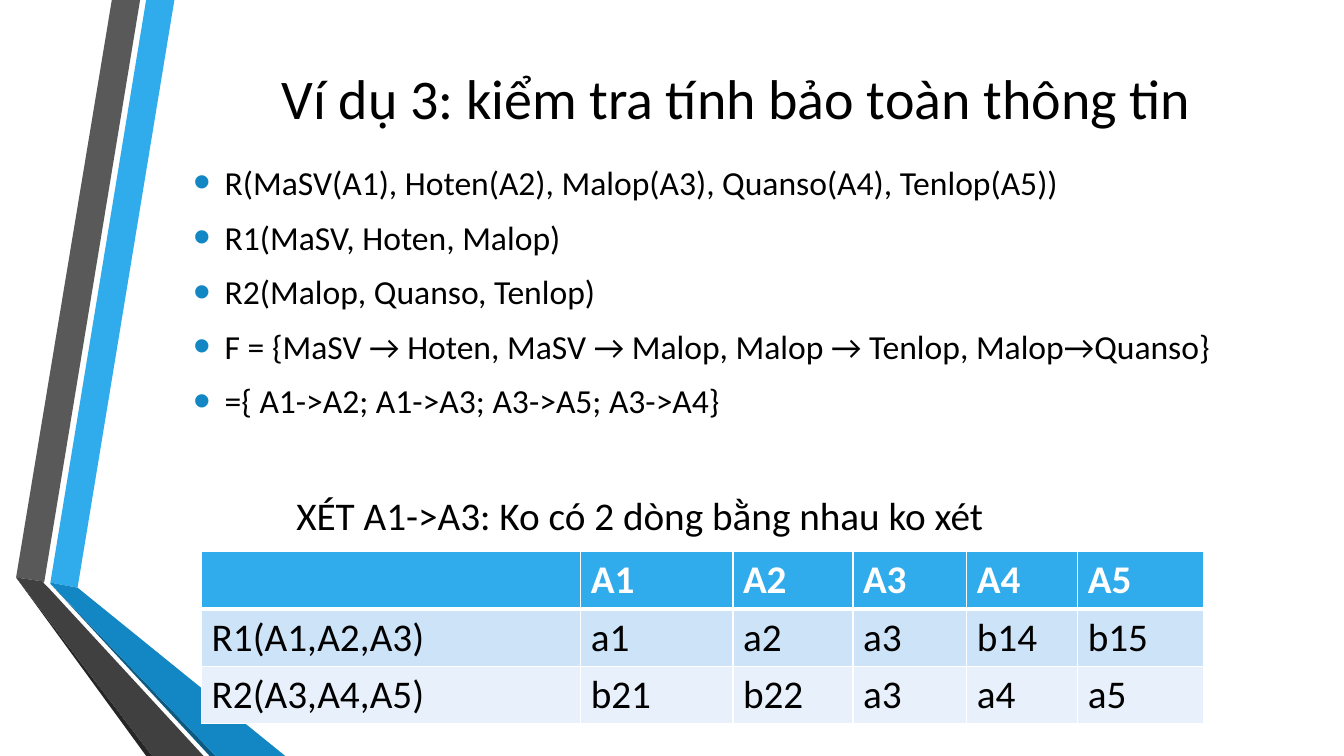
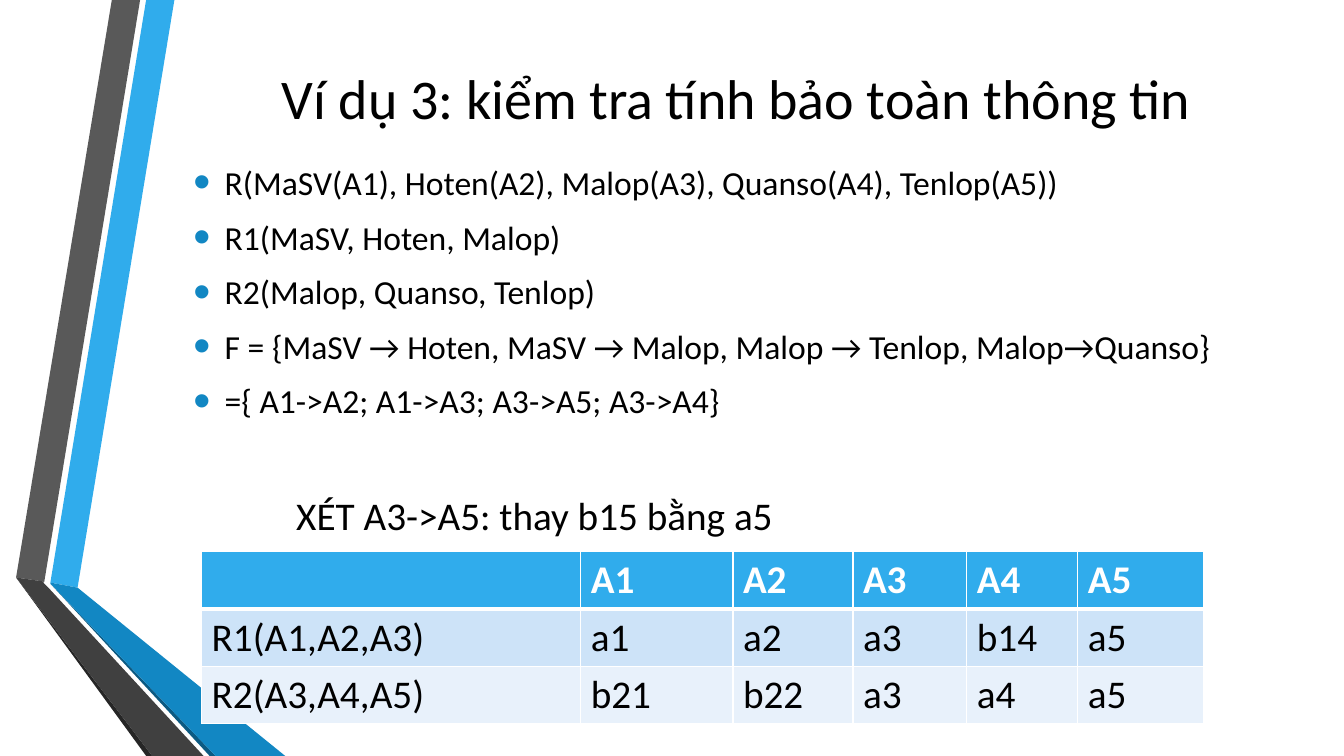
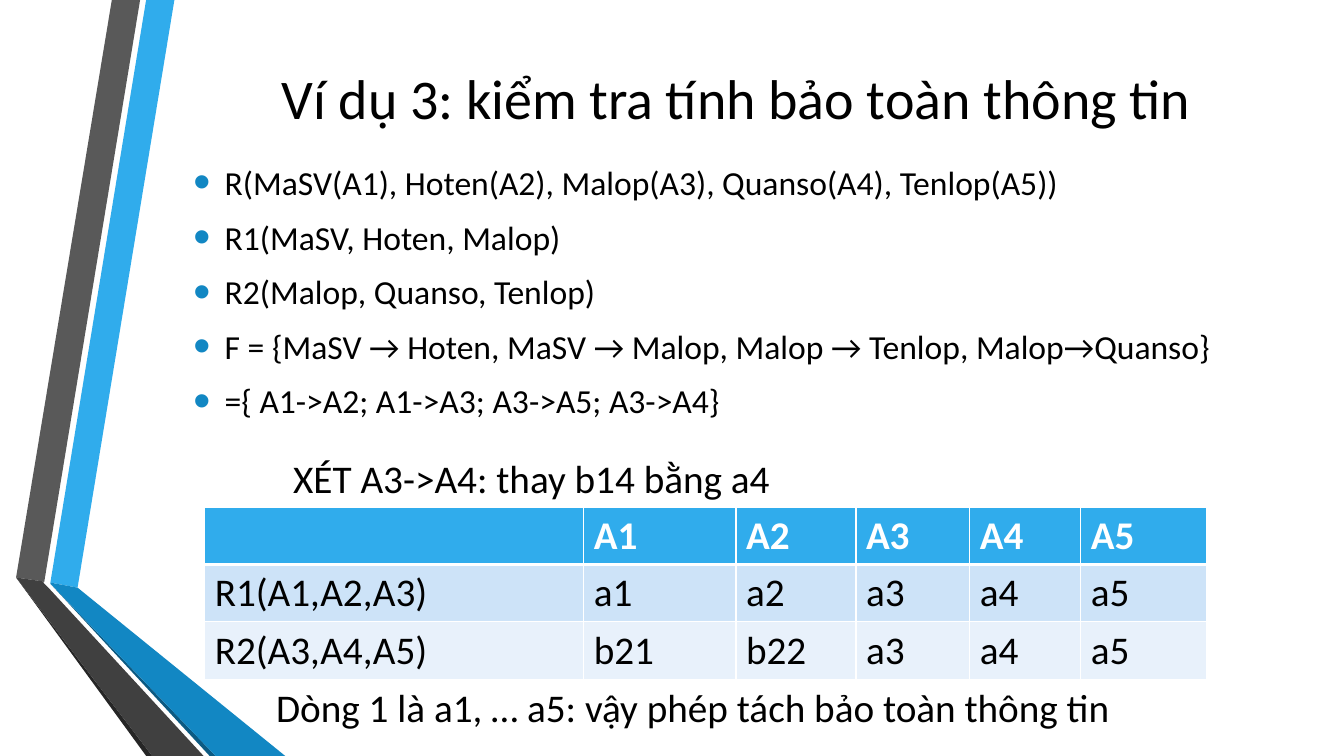
from dataclasses import dataclass, field
from typing import Any, NamedTuple

import pptx
import pptx.dml.color
import pptx.enum.text
import pptx.oxml
import pptx.oxml.ns
import pptx.util

EMU_PER_PX = 9144  # 100 px to the inch
PP_ALIGN = pptx.enum.text.PP_ALIGN
ANCHOR = pptx.enum.text.MSO_ANCHOR
AUTO_SIZE = pptx.enum.text.MSO_AUTO_SIZE


@dataclass(frozen=True)
class Theme:
    font: str = "Calibri"
    bullet_font: str = "Arial"
    title_size: int = 40
    body_size: int = 24
    note_size: int = 28
    ink: str = "000000"
    paper: str = "FFFFFF"
    sky: str = "30ACEC"
    blue: str = "1287C3"
    navy: str = "0C5A82"
    gray: str = "595959"
    dark_gray: str = "404040"
    charcoal: str = "262626"
    row_fills: tuple[str, ...] = ("CDE3F8", "E8F1FB")


THEME = Theme()


class Box(NamedTuple):
    left: int
    top: int
    width: int
    height: int


class Band(NamedTuple):
    color: str
    outline: tuple[tuple[int, int], ...]


class Note(NamedTuple):
    text: str
    box: Box
    wrap: bool = False


@dataclass(frozen=True)
class Step:
    """One step of the check: the tableau rows and the notes around them."""

    table_left: int
    table_top: int
    r1_tail: tuple[str, str]
    notes: tuple[Note, ...] = field(default_factory=tuple)


SLIDE_SIZE = (1333, 750)
BANDS = (
    Band(THEME.sky, ((50, 578), (77, 583), (173, 0), (145, 0))),
    Band(THEME.gray, ((139, 0), (111, 0), (16, 573), (44, 577))),
    Band(THEME.charcoal, ((16, 573), (145, 750), (151, 750))),
    Band(THEME.navy, ((50, 579), (208, 750), (214, 750))),
    Band(THEME.blue, ((50, 578), (50, 579), (214, 750), (283, 750), (77, 583))),
    Band(THEME.dark_gray, ((202, 750), (48, 583), (43, 578), (44, 577), (16, 573), (151, 750))),
)

TITLE = "Ví dụ 3: kiểm tra tính bảo toàn thông tin"
TITLE_BOX = Box(182, 0, 1096, 192)
SCHEMA_BOX = Box(182, 118, 1096, 342)
SCHEMA = (
    "R(MaSV(A1), Hoten(A2), Malop(A3), Quanso(A4), Tenlop(A5))",
    "R1(MaSV, Hoten, Malop)",
    "R2(Malop, Quanso, Tenlop)",
    "F = {MaSV → Hoten, MaSV → Malop, Malop → Tenlop, Malop→Quanso}",
    "={ A1->A2; A1->A3; A3->A5; A3->A4}",
)
HANGING_INDENT = 31

COLUMN_WIDTHS = (376, 151, 119, 113, 110, 125)
ROW_HEIGHT = 57
HEADER = ("", "A1", "A2", "A3", "A4", "A5")
R1_HEAD = ("R1(A1,A2,A3)", "a1", "a2", "a3")
R2_ROW = ("R2(A3,A4,A5)", "b21", "b22", "a3", "a4", "a5")

STEPS = (
    Step(200, 547, ("b14", "b15"),
         (Note("XÉT A1->A3: Ko có 2 dòng bằng nhau ko xét", Box(284, 483, 725, 57)),)),
    Step(200, 547, ("b14", "a5"),
         (Note("XÉT A3->A5: thay b15 bằng a5", Box(284, 483, 504, 57)),)),
    Step(203, 503, ("a4", "a5"),
         (Note("XÉT A3->A4: thay b14 bằng a4", Box(281, 446, 504, 57)),
          Note("Dòng 1 là a1, … a5: vậy phép tách bảo toàn thông tin",
               Box(264, 673, 969, 57), wrap=True))),
)


def px(length: int) -> pptx.util.Emu:
    return pptx.util.Emu(length * EMU_PER_PX)


def rgb(color: str) -> pptx.dml.color.RGBColor:
    return pptx.dml.color.RGBColor.from_string(color)


def apply_format(target: Any, values: dict[str, Any]) -> None:
    for name, value in values.items():
        setattr(target, name, value)


def write(paragraph: Any, text: str, size: int, color: str = THEME.ink, bold: bool = False) -> None:
    run = paragraph.add_run()
    run.text = text
    apply_format(run.font, {"name": THEME.font, "size": pptx.util.Pt(size), "bold": bold})
    run.font.color.rgb = rgb(color)


def add_frame(slide: Any, box: Box, values: dict[str, Any]) -> Any:
    """Add a text box and return its formatted text frame."""
    frame = slide.shapes.add_textbox(*map(px, box)).text_frame
    apply_format(frame, values)
    return frame


def draw_band(slide: Any, band: Band) -> None:
    start, *others = band.outline
    builder = slide.shapes.build_freeform(*start, scale=EMU_PER_PX)
    builder.add_line_segments(others, close=True)
    ribbon = builder.convert_to_shape()
    ribbon.shadow.inherit = False
    ribbon.fill.solid()
    ribbon.fill.fore_color.rgb = rgb(band.color)
    ribbon.line.fill.background()


def draw_title(slide: Any) -> None:
    frame = add_frame(slide, TITLE_BOX, {"word_wrap": True, "vertical_anchor": ANCHOR.MIDDLE})
    heading = frame.paragraphs[0]
    heading.alignment = PP_ALIGN.CENTER
    write(heading, TITLE, THEME.title_size)


def add_bullet(paragraph: Any) -> None:
    properties = paragraph._p.get_or_add_pPr()
    properties.set("marL", str(px(HANGING_INDENT)))
    properties.set("indent", str(-px(HANGING_INDENT)))
    namespace = pptx.oxml.ns.nsdecls("a")
    for xml in (
        f'<a:buClr {namespace}><a:srgbClr val="{THEME.blue}"/></a:buClr>',
        f'<a:buSzPct {namespace} val="145000"/>',
        f'<a:buFont {namespace} typeface="{THEME.bullet_font}"/>',
        f'<a:buChar {namespace} char="•"/>',
    ):
        properties.append(pptx.oxml.parse_xml(xml))


def draw_schema(slide: Any) -> None:
    frame = add_frame(slide, SCHEMA_BOX, {"word_wrap": True, "vertical_anchor": ANCHOR.MIDDLE})
    spacing = {"space_before": pptx.util.Pt(4.2), "space_after": pptx.util.Pt(6)}
    for index, line in enumerate(SCHEMA):
        paragraph = frame.add_paragraph() if index else frame.paragraphs[0]
        add_bullet(paragraph)
        apply_format(paragraph, spacing)
        write(paragraph, line, THEME.body_size)


def add_borders(cell: Any, row: int) -> None:
    """Rule the cell in white, heavier between the header and the first row."""
    weights = {"L": 1, "R": 1, "T": 3 if row == 1 else 1, "B": 3 if row == 0 else 1}
    properties = cell._tc.get_or_add_tcPr()
    for side, weight in weights.items():
        properties.append(pptx.oxml.parse_xml(
            f'<a:ln{side} {pptx.oxml.ns.nsdecls("a")} w="{pptx.util.Pt(weight)}">'
            f'<a:solidFill><a:srgbClr val="{THEME.paper}"/></a:solidFill></a:ln{side}>'))


def draw_tableau(slide: Any, step: Step) -> None:
    rows = (HEADER, R1_HEAD + step.r1_tail, R2_ROW)
    box = Box(step.table_left, step.table_top, sum(COLUMN_WIDTHS), ROW_HEIGHT * len(rows))
    tableau = slide.shapes.add_table(len(rows), len(HEADER), *map(px, box)).table
    for column, width in zip(tableau.columns, COLUMN_WIDTHS):
        column.width = px(width)
    fills = (THEME.sky, *THEME.row_fills)
    for row, (values, fill) in enumerate(zip(rows, fills)):
        is_header = row == 0
        for column, value in enumerate(values):
            cell = tableau.cell(row, column)
            add_borders(cell, row)
            cell.fill.solid()
            cell.fill.fore_color.rgb = rgb(fill)
            if value:
                write(cell.text_frame.paragraphs[0], value, THEME.note_size,
                      THEME.paper if is_header else THEME.ink, is_header)


def draw_note(slide: Any, note: Note) -> None:
    frame = add_frame(slide, note.box,
                      {"word_wrap": note.wrap, "auto_size": AUTO_SIZE.SHAPE_TO_FIT_TEXT})
    write(frame.paragraphs[0], note.text, THEME.note_size)


def draw_step(slide: Any, step: Step) -> None:
    for band in BANDS:
        draw_band(slide, band)
    draw_title(slide)
    draw_schema(slide)
    draw_tableau(slide, step)
    for note in step.notes:
        draw_note(slide, note)


def main() -> None:
    deck = pptx.Presentation()
    deck.slide_width, deck.slide_height = map(px, SLIDE_SIZE)
    blank = deck.slide_layouts[6]
    for step in STEPS:
        draw_step(deck.slides.add_slide(blank), step)
    deck.save("out.pptx")


if __name__ == "__main__":
    main()
